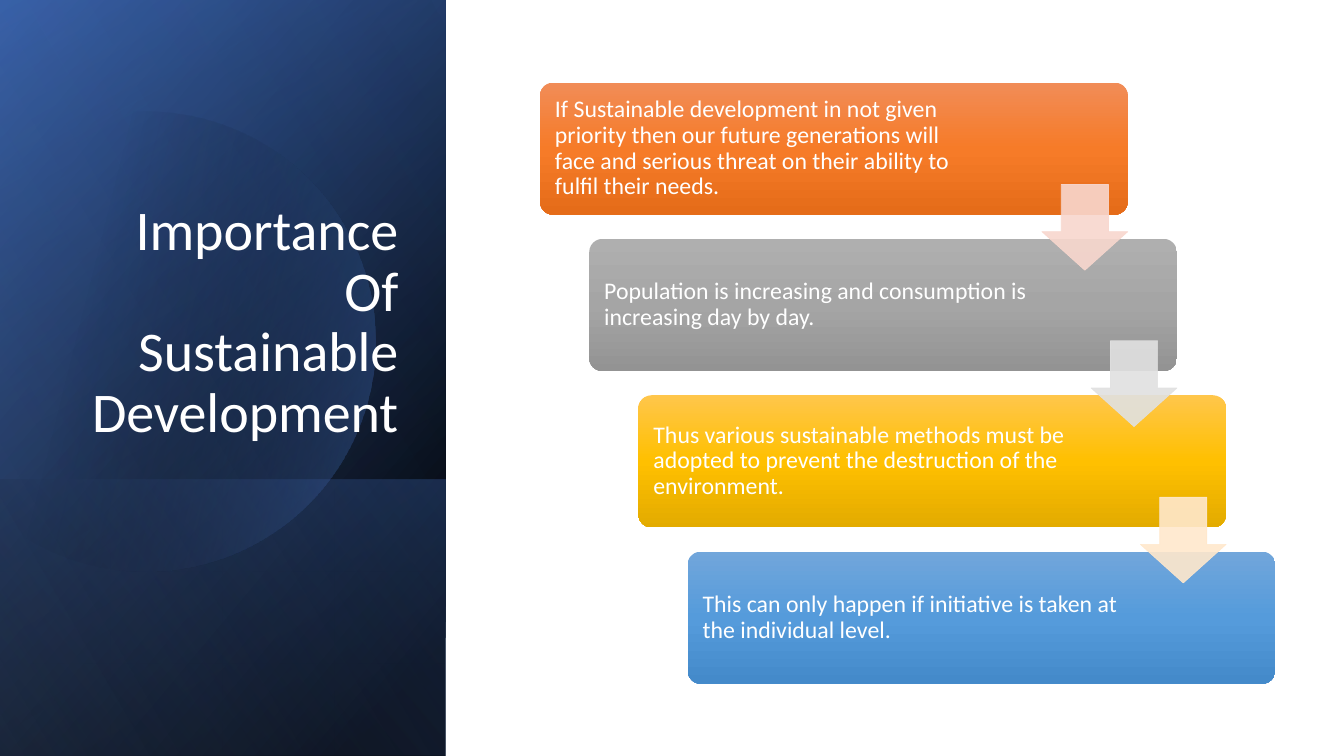
import math
from lxml import etree
from pptx import Presentation
from pptx.dml.color import RGBColor
from pptx.enum import shapes, text
from pptx.oxml import ns, parse_xml
from pptx.util import Cm, Pt

WHITE = RGBColor(0xFF, 0xFF, 0xFF)
BLACK = RGBColor(0, 0, 0)
NAVY = RGBColor(0x2F, 0x55, 0x97)
BLUE = RGBColor(0x44, 0x72, 0xC4)
PALE_BLUE = RGBColor(0x8F, 0xAA, 0xDC)
FONT = "Calibri"

TITLE = "Importance Of Sustainable Development"

# message, card gradient, right text inset, arrow colour
STEPS = [
    ("If Sustainable development in not given priority then our future generations "
     "will face and serious threat on their ability to fulfil their needs.",
     ("F18C57", "F67B28", "E56C19"), 3.94, "F8D7CE"),
    ("Population is increasing and consumption is increasing day by day.",
     ("AFAFAF", "A5A5A5", "939393"), 3.68, "E1E1E1"),
    ("Thus various sustainable methods must be adopted to prevent the destruction "
     "of the environment.",
     ("FFC64B", "FFC000", "E3AB00"), 3.68, "FFE8CC"),
    ("This can only happen if initiative is taken at the individual level.",
     ("71A6DB", "559BDB", "448ACA"), 3.68, None),
]

# Lengths in cm
SLIDE_W, SLIDE_H = 33.87, 19.05
PANEL_W = 11.23
FOOT_H = 6.96
CARD_X, CARD_Y, CARD_W, CARD_H = 13.61, 2.08, 14.81, 3.33
STEP_X, STEP_Y = 1.24, 3.94
ARROW, ARROW_DROP = 2.16, 2.57
DISC_X, DISC_Y, DISC_R, DISC_CUT = 3.68, 8.61, 5.79, -0.38

# top, height, gradient angle, stops of (position %, colour, opacity %)
PANEL_LAYERS = [
    (0, SLIDE_H, 50, [(8, BLACK, 100), (100, NAVY, 100)]),
    (0, SLIDE_H, 30, [(0, BLACK, 0), (99, BLUE, 46)]),
    (SLIDE_H - FOOT_H, FOOT_H, 130, [(2, BLUE, 29), (100, BLACK, 30)]),
]
SHEEN = (0, SLIDE_H, 120, [(0, BLACK, 0), (99, PALE_BLUE, 11)])
DISC_STOPS = [(29, BLACK, 0), (100, BLUE, 43)]


def set_gradient(sp, angle, stops):
    sp.shadow.inherit = False
    sp.line.fill.background()
    sp.fill.background()
    gs = "".join(
        f'<a:gs pos="{pos * 1000}"><a:srgbClr val="{color}">'
        f'<a:alpha val="{alpha * 1000}"/></a:srgbClr></a:gs>'
        for pos, color, alpha in stops)
    grad = parse_xml(
        f'<a:gradFill {ns.nsdecls("a")} rotWithShape="1"><a:gsLst>{gs}</a:gsLst>'
        f'<a:lin ang="{round(angle * 60000)}" scaled="0"/></a:gradFill>')
    props = sp._element.spPr
    props.replace(props.find(ns.qn("a:noFill")), grad)


def add_panel_layer(s, top, height, angle, stops):
    """Add a mirrored rectangle turned by 90 degrees that covers the panel's width."""
    left = (PANEL_W - height) / 2
    sp = s.shapes.add_shape(shapes.MSO_SHAPE.RECTANGLE, Cm(left),
                            Cm(top + (height - PANEL_W) / 2), Cm(height), Cm(PANEL_W))
    sp.rotation = 90
    sp._element.spPr.find(ns.qn("a:xfrm")).set("flipH", "1")
    set_gradient(sp, angle, stops)


def add_disc(s):
    """Add the circle, cut straight at its left side."""
    end = math.degrees(math.acos((DISC_CUT - DISC_X) / DISC_R))
    angles = [math.radians(-end + 2 * end * i / 120) for i in range(121)]
    points = [(Cm(DISC_X + DISC_R * math.cos(a)), Cm(DISC_Y + DISC_R * math.sin(a)))
              for a in angles]
    builder = s.shapes.build_freeform(*points[0])
    builder.add_line_segments(points[1:], close=True)
    set_gradient(builder.convert_to_shape(), 14, DISC_STOPS)


def write(sp, words, size, align, **frame):
    tf = sp.text_frame
    for name, value in {"word_wrap": True, **frame}.items():
        setattr(tf, name, value)
    p = tf.paragraphs[0]
    p.alignment, p.line_spacing = align, 0.9
    r = p.add_run()
    r.text = words
    for name, value in {"name": FONT, "size": Pt(size)}.items():
        setattr(r.font, name, value)
    r.font.color.rgb = WHITE


def add_card(s, i, words, colors, inset):
    sp = s.shapes.add_shape(shapes.MSO_SHAPE.ROUNDED_RECTANGLE,
                            Cm(CARD_X + i * STEP_X), Cm(CARD_Y + i * STEP_Y),
                            Cm(CARD_W), Cm(CARD_H))
    sp.adjustments[0] = 0.1
    set_gradient(sp, 90, [(50 * n, c, 100) for n, c in enumerate(colors)])
    write(sp, words, 17, text.PP_ALIGN.LEFT,
          vertical_anchor=text.MSO_ANCHOR.MIDDLE,
          margin_left=Cm(0.28), margin_right=Cm(inset),
          margin_top=Cm(0.28), margin_bottom=Cm(0.28))


def add_arrow(s, i, color):
    sp = s.shapes.add_shape(shapes.MSO_SHAPE.DOWN_ARROW,
                            Cm(CARD_X + i * STEP_X + CARD_W - ARROW),
                            Cm(CARD_Y + i * STEP_Y + ARROW_DROP), Cm(ARROW), Cm(ARROW))
    sp.adjustments[0], sp.adjustments[1] = 0.55, 0.45
    sp.shadow.inherit = False
    sp.line.width = Pt(0.5)
    for fill in (sp.fill, sp.line.fill):
        fill.solid()
        fill.fore_color.rgb = RGBColor.from_string(color)
    for clr in sp._element.spPr.iter(ns.qn("a:srgbClr")):
        etree.SubElement(clr, ns.qn("a:alpha")).set("val", "90000")


def main():
    prs = Presentation()
    prs.slide_width, prs.slide_height = Cm(SLIDE_W), Cm(SLIDE_H)
    s = prs.slides.add_slide(prs.slide_layouts[6])

    for layer in PANEL_LAYERS:
        add_panel_layer(s, *layer)
    add_disc(s)
    add_panel_layer(s, *SHEEN)

    title = s.shapes.add_textbox(Cm(1.63), Cm(4.67), Cm(8.66), Cm(6.65))
    write(title, TITLE, 40, text.PP_ALIGN.RIGHT, vertical_anchor=text.MSO_ANCHOR.BOTTOM)

    for i, (words, colors, inset, _) in enumerate(STEPS):
        add_card(s, i, words, colors, inset)
    for i, (*_, color) in enumerate(STEPS):
        if color:
            add_arrow(s, i, color)
    prs.save("out.pptx")


if __name__ == "__main__":
    main()
